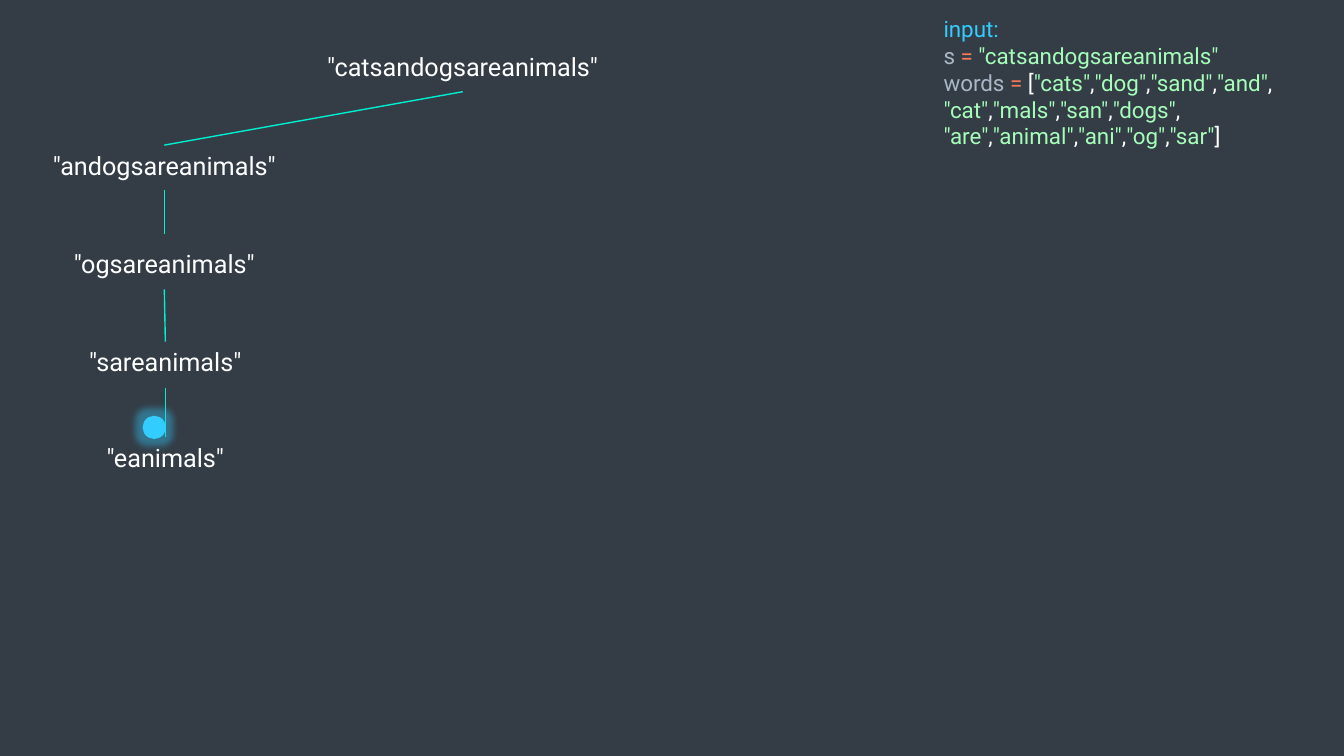
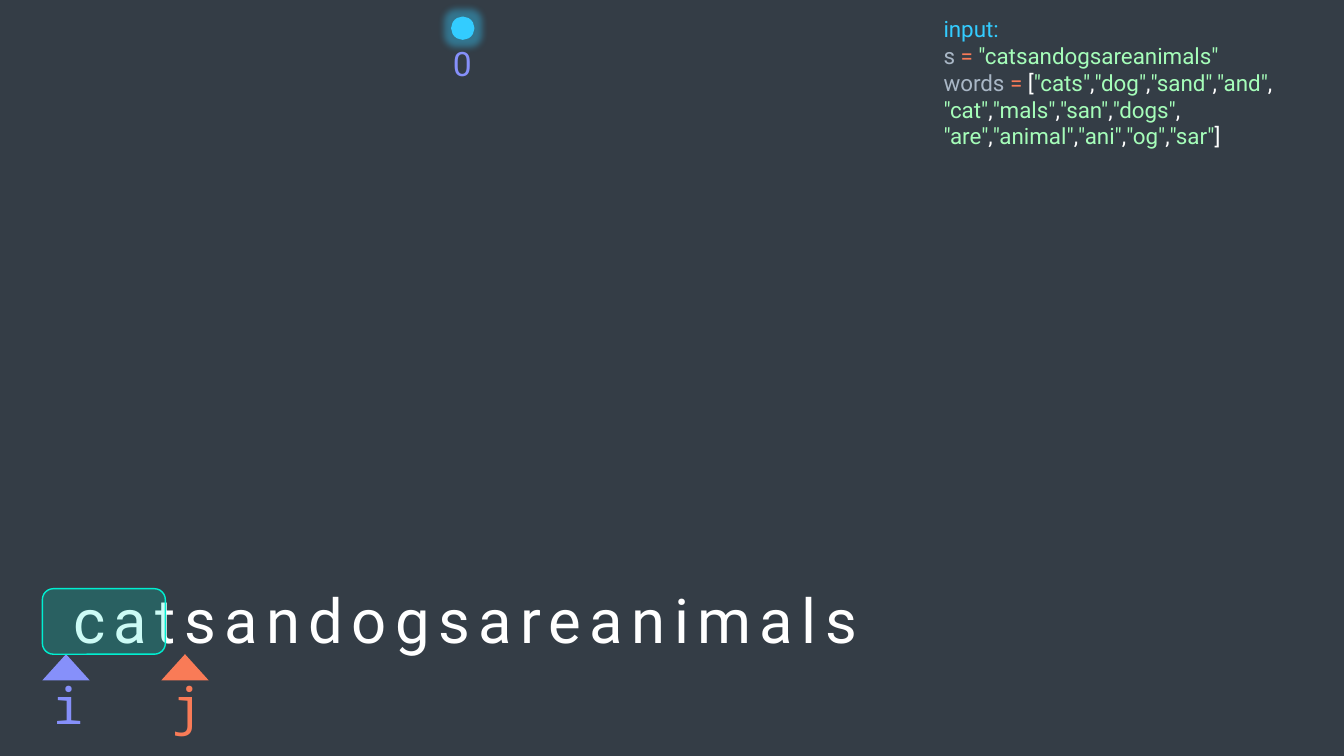
from lxml import etree
from pptx import Presentation
from pptx import util as u
from pptx.dml.color import RGBColor
from pptx.enum import shapes, text
from pptx.oxml.ns import qn

COLORS = {
    "background": "343D46",
    "white": "FFFFFF",
    "blue": "33CCFF",
    "gray": "A9B7C6",
    "orange": "F97A57",
    "coral": "F97B57",
    "green": "A5FDB9",
    "violet": "8690FA",
    "teal": "00EFD1",
}
SENTENCE = "catsandogsareanimals"
WORD_ROWS = [
    ["cats", "dog", "sand", "and"],
    ["cat", "mals", "san", "dogs"],
    ["are", "animal", "ani", "og", "sar"],
]


def add_text(parent, at, rows, size, font="Roboto", align=None, wrap=True, inset=None, spacing=0):
    """Add a text box; each row is a paragraph of (text, color) runs, "\\n" being a line break."""
    box = parent.add_textbox(*map(u.Inches, at))
    frame = box.text_frame
    frame.word_wrap = wrap
    frame.auto_size = text.MSO_AUTO_SIZE.SHAPE_TO_FIT_TEXT
    if inset is not None:
        frame.margin_left = frame.margin_right = u.Inches(inset)
        frame.margin_top = frame.margin_bottom = u.Inches(inset)
    for number, row in enumerate(rows):
        para = frame.add_paragraph() if number else frame.paragraphs[0]
        para.alignment = align
        for words, color in row:
            if words == "\n":
                para.add_line_break()
                continue
            span = para.add_run()
            span.text = words
            span.font.name = font
            span.font.size = u.Pt(size)
            span.font.color.rgb = RGBColor.from_string(COLORS[color])
            if spacing:
                span.font._element.set("spc", str(spacing * 100))


def add_filled_shape(parent, kind, at, color, line_width=0):
    shape = parent.add_shape(kind, *map(u.Inches, at))
    shape.shadow.inherit = False
    shape.fill.solid()
    shape.fill.fore_color.rgb = RGBColor.from_string(COLORS[color])
    if line_width:
        shape.line.color.rgb = RGBColor.from_string(COLORS[color])
        shape.line.width = u.Pt(line_width)
    else:
        shape.line.fill.background()
    return shape


CENTER = text.PP_ALIGN.CENTER
deck = Presentation()
deck.slide_width, deck.slide_height = u.Inches(13.33), u.Inches(7.5)
backdrop = deck.slide_master.background.fill
backdrop.solid()
backdrop.fore_color.rgb = RGBColor.from_string(COLORS["background"])

# Input listing, shown on every slide
input_rows = [
    [("input:", "blue")],
    [("s ", "gray"), ("= ", "orange"), (f'"{SENTENCE}"', "green"), ("\n", "green"),
     ("words ", "gray"), ("= ", "orange"), ("[", "white")],
    [],
    [],
]
for row, words in zip(input_rows[1:], WORD_ROWS):
    for word in words:
        row += [(f'"{word}"', "green"), (",", "white")]
input_rows[-1][-1] = ("]", "white")

pages = [deck.slides.add_slide(deck.slide_layouts[6]) for _ in range(2)]
for page in pages:
    add_text(page.shapes, (9.26, 0.1, 4.04, 1.45), input_rows, 16)
tree_page, scan_page = pages

# Tree of remaining suffixes: letters consumed, center, top, width
nodes = [
    (0, 4.59, 0.46, 5.12),
    (4, 1.63, 1.44, 2.65),
    (7, 1.63, 2.41, 2.18),
    (9, 1.64, 3.39, 1.85),
    (12, 1.64, 4.34, 1.49),
]
for start, center, top, width in nodes:
    add_text(tree_page.shapes, (center - width / 2, top, width, 0.46),
             [[(f'"{SENTENCE[start:]}"', "white")]], 18, align=CENTER, wrap=start == 0)

branches = [
    (4.59, 0.91, 1.63, 1.44),
    (1.63, 1.89, 1.63, 2.32),
    (1.63, 2.87, 1.64, 3.39),
    (1.64, 3.85, 1.64, 4.34),
]
for ends in branches:
    branch = tree_page.shapes.add_connector(shapes.MSO_CONNECTOR.STRAIGHT, *map(u.Inches, ends))
    branch.line.color.rgb = RGBColor.from_string(COLORS["teal"])
    branch.line.width = u.Pt(1)
    etree.SubElement(branch._element.spPr, qn("a:effectLst"))

# Scan of the sentence with its two index pointers
add_text(scan_page.shapes, (3.83, 0.38, 1.51, 0.5), [[("0", "violet")]], 24, align=CENTER)
add_text(scan_page.shapes, (0.22, 5.72, 8.8, 0.84), [[(SENTENCE, "white")]], 44,
         align=CENTER, spacing=6)
for letter, left, color in [("i", 0.42, "violet"), ("j", 1.6, "coral")]:
    pointer = scan_page.shapes.add_group_shape().shapes
    add_filled_shape(pointer, shapes.MSO_SHAPE.ISOSCELES_TRIANGLE, (left, 6.49, 0.47, 0.26), color)
    add_text(pointer, (left + 0.1, 6.69, 0.33, 0.61), [[(letter, color)]], 36,
             font="Noto Sans Mono", align=CENTER, inset=0, spacing=6)

prefix = add_filled_shape(scan_page.shapes, shapes.MSO_SHAPE.ROUNDED_RECTANGLE,
                          (0.42, 5.84, 1.22, 0.65), "teal", 1)
prefix_color = prefix._element.spPr.find(qn("a:solidFill")).find(qn("a:srgbClr"))
etree.SubElement(prefix_color, qn("a:alpha"), val="20000")

# Glowing dot that marks the current step
for page, left, top in [(tree_page, 1.43, 4.14), (scan_page, 4.49, 0.18)]:
    dot = add_filled_shape(page.shapes, shapes.MSO_SHAPE.OVAL, (left, top, 0.2, 0.2), "blue", 2.25)
    effects = dot._element.spPr.find(qn("a:effectLst"))
    glow = etree.SubElement(effects, qn("a:glow"), rad=str(u.Pt(10)))
    glow_color = etree.SubElement(glow, qn("a:srgbClr"), val=COLORS["blue"])
    etree.SubElement(glow_color, qn("a:alpha"), val="40000")

deck.save("out.pptx")
